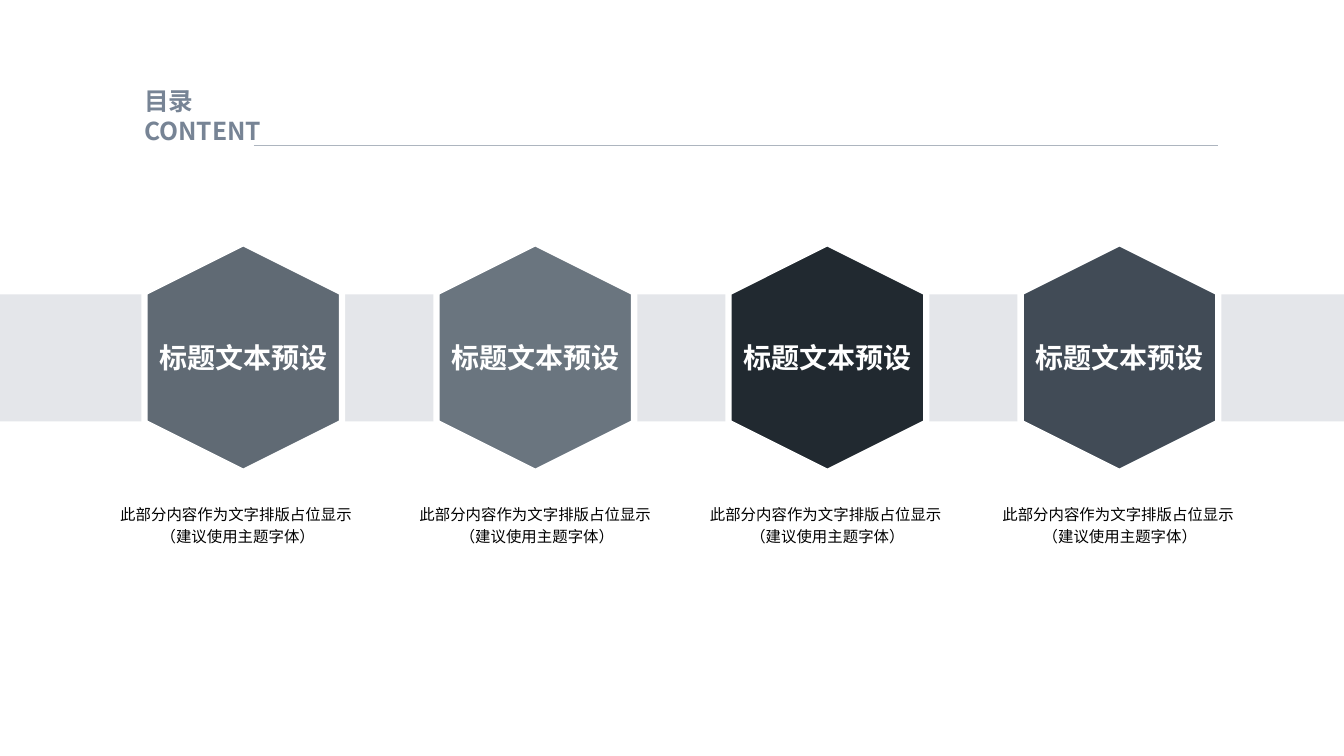
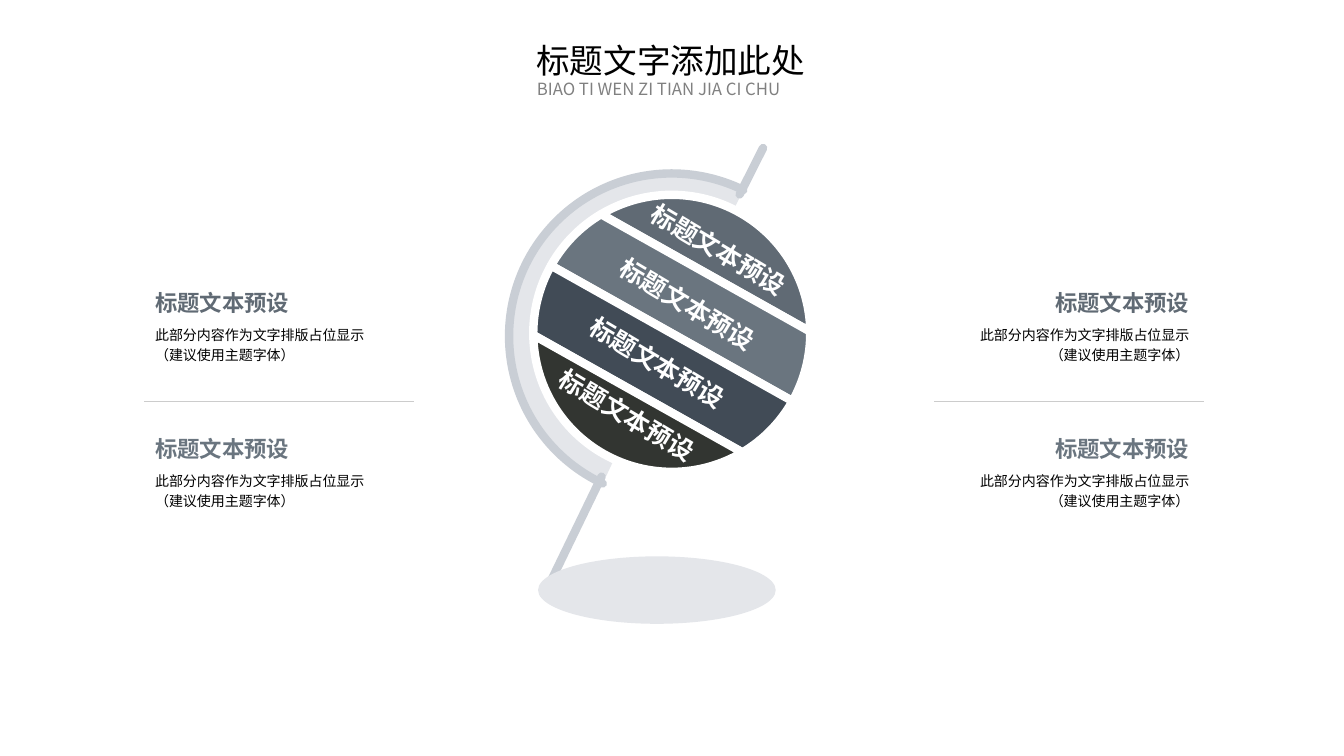
from math import asin, cos, pi, radians, sin, tan

from lxml import etree
from pptx import Presentation
from pptx.dml.color import RGBColor
from pptx.enum.shapes import MSO_CONNECTOR, MSO_SHAPE
from pptx.enum.text import MSO_ANCHOR, MSO_AUTO_SIZE, PP_ALIGN
from pptx.oxml.ns import qn
from pptx.util import Cm, Pt

FONT = "Noto Sans CJK SC"
BLACK = RGBColor(0x00, 0x00, 0x00)
WHITE = RGBColor(0xFF, 0xFF, 0xFF)
GREY = RGBColor(0x80, 0x80, 0x80)
TITLE_BLUE = RGBColor(0x77, 0x84, 0x95)
TITLE_RULE = RGBColor(0xAD, 0xB5, 0xBF)
COLUMN_RULE = RGBColor(0xCC, 0xCC, 0xCC)
PALE = RGBColor(0xE4, 0xE6, 0xEA)
FRAME = RGBColor(0xC9, 0xCE, 0xD5)
SLATE = RGBColor(0x60, 0x6A, 0x74)
STEEL = RGBColor(0x6A, 0x75, 0x7F)
DARK = RGBColor(0x41, 0x4B, 0x56)
NIGHT = RGBColor(0x21, 0x29, 0x30)
CHARCOAL = RGBColor(0x32, 0x35, 0x31)

SLIDE_W, SLIDE_H = 33.87, 19.05
HEADING = "标题文本预设"
CAPTION = ("此部分内容作为文字排版占位显示 ", "（建议使用主题字体）")
BODY = ("此部分内容作为文字排版占位显示", "（建议使用主题字体）")


def box_of(left, top, width, height):
    return Cm(left), Cm(top), Cm(width), Cm(height)


def write(tf, lines, size, color, bold=False, align=PP_ALIGN.LEFT,
          anchor=MSO_ANCHOR.TOP, spacing=None, inset=None, wrap=True):
    """Fill a text frame with one paragraph, with breaks between its lines."""
    tf.auto_size = MSO_AUTO_SIZE.NONE
    tf.word_wrap = wrap
    tf.vertical_anchor = anchor
    if inset is not None:
        tf.margin_left = tf.margin_right = Cm(inset)
        tf.margin_top = tf.margin_bottom = Cm(inset)
    p = tf.paragraphs[0]
    p.alignment = align
    if spacing:
        p.line_spacing = spacing
    for i, line in enumerate(lines):
        if i:
            p.add_line_break()
        r = p.add_run()
        r.text = line
        r.font.size = Pt(size)
        r.font.bold = bold
        r.font.color.rgb = color
        r.font.name = FONT
        etree.SubElement(r.font._element, qn("a:ea"), typeface=FONT)


def add_text(s, box, lines, size, color, **style):
    sp = s.shapes.add_textbox(*box_of(*box))
    write(sp.text_frame, lines, size, color, **style)
    return sp


def add_title(s, box, lines, size, color, **style):
    sp = s.shapes.title
    sp.left, sp.top, sp.width, sp.height = box_of(*box)
    write(sp.text_frame, lines, size, color, **style)


def paint(sp, fill, line=None, width=0):
    sp.shadow.inherit = False
    sp.fill.solid()
    sp.fill.fore_color.rgb = fill
    if line is None:
        sp.line.fill.background()
    else:
        sp.line.color.rgb = line
        sp.line.width = Pt(width)


def add_shape(s, kind, box, fill, line=None, width=0):
    sp = s.shapes.add_shape(kind, *box_of(*box))
    paint(sp, fill, line, width)
    return sp


def round_ends(sp):
    sp.line._get_or_add_ln().set("cap", "rnd")


def add_line(s, x1, y1, x2, y2, color, width=0.5):
    line = s.shapes.add_connector(MSO_CONNECTOR.STRAIGHT,
                                  Cm(x1), Cm(y1), Cm(x2), Cm(y2))
    line.line.color.rgb = color
    line.line.width = Pt(width)
    etree.SubElement(line._element.spPr, qn("a:effectLst"))
    return line


def hexagon_step(s, cx, cy, color):
    width, height = 5.77, 4.98
    sp = add_shape(s, MSO_SHAPE.HEXAGON,
                   (cx - width / 2, cy - height / 2, width, height),
                   color, WHITE, 4.5)
    sp.rotation = 90
    write(sp.text_frame, [HEADING], 20, WHITE, bold=True, wrap=False,
          align=PP_ALIGN.CENTER, anchor=MSO_ANCHOR.MIDDLE)
    sp.text_frame._txBody.bodyPr.set("vert", "vert270")


def contents_slide(prs):
    s = prs.slides.add_slide(prs.slide_layouts[5])
    add_title(s, (3.63, 2.16, 3.1, 1.5), ["目录 ", "CONTENT"], 17.6, TITLE_BLUE,
              bold=True, anchor=MSO_ANCHOR.BOTTOM, inset=0)
    add_line(s, 6.4, 3.66, 30.7, 3.66, TITLE_RULE)
    band_top, band_h = 7.42, 3.2
    add_shape(s, MSO_SHAPE.RECTANGLE, (0, band_top, SLIDE_W, band_h), PALE)
    for i, color in enumerate((SLATE, STEEL, NIGHT, DARK)):
        hexagon_step(s, 6.13 + 7.36 * i, band_top + band_h / 2 - 0.01, color)
    for left in (2.92, 10.46, 17.78, 25.15):
        add_text(s, (left, 12.4, 6.15, 1.6), CAPTION, 11, BLACK, spacing=1.2,
                 align=PP_ALIGN.CENTER, anchor=MSO_ANCHOR.MIDDLE, inset=0)


def arc_points(cx, cy, radius, start, end):
    """Start, two control points and end of the Bézier curve along an arc."""
    pull = 4 / 3 * tan((end - start) / 4)
    unit = ((cos(start), sin(start)),
            (cos(start) - pull * sin(start), sin(start) + pull * cos(start)),
            (cos(end) + pull * sin(end), sin(end) - pull * cos(end)),
            (cos(end), sin(end)))
    return [(Cm(cx + radius * x), Cm(cy + radius * y)) for x, y in unit]


def bend(sp):
    """Turn the first three and the last three segments into curves."""
    segments = list(sp._element.iter(qn("a:lnTo")))
    for group in (segments[:3], segments[-3:]):
        curve = etree.Element(qn("a:cubicBezTo"))
        group[0].addprevious(curve)
        for segment in group:
            curve.append(segment[0])
            segment.getparent().remove(segment)


def sphere(s, cx, cy, radius, colors):
    """A tilted disc cut into slices of equal thickness."""
    tilt = 29.3
    count = len(colors)
    cuts = [asin(2 * i / count - 1) for i in range(count + 1)]
    for i, color in enumerate(colors):
        upper, lower = cuts[i:i + 2]
        middle = radius * (sin(upper) + sin(lower)) / 2
        x = cx - middle * sin(radians(tilt))
        y = cy + middle * (cos(radians(tilt)) - 1)
        right = arc_points(x, y, radius, upper, lower)
        left = arc_points(x, y, radius, pi - lower, pi - upper)
        if i == count - 1:
            left = left[1:]
        builder = s.shapes.build_freeform(*right[0])
        builder.add_line_segments(right[1:] + left, close=True)
        sp = builder.convert_to_shape()
        bend(sp)
        sp.rotation = tilt
        paint(sp, color, WHITE, 6)


def globe(s, left, top, size):
    arc = add_shape(s, MSO_SHAPE.ARC, (left, top, size, size), PALE, FRAME, 6)
    arc.adjustments[0] = 107.4
    arc.adjustments[1] = 0
    arc.rotation = 296.1
    round_ends(arc)
    for x1, y1, x2, y2 in ((1.06, 10.26, 2.33, 7.64), (5.81, 0.53, 6.4, -0.64)):
        round_ends(add_line(s, left + x1, top + y1, left + x2, top + y2, FRAME, 6))
    add_shape(s, MSO_SHAPE.OVAL, (left + 0.73, top + 9.65, 5.99, 1.7), PALE)
    sphere(s, left + size / 2, top + 4.03, 3.49, (SLATE, STEEL, DARK, CHARCOAL))
    for x, y in ((3.12, 1.42), (2.33, 2.79), (1.57, 4.27), (0.81, 5.59)):
        label = add_text(s, (left + x, top + y, 4.37, 1.02), [HEADING], 18, WHITE,
                         bold=True, wrap=False)
        label.rotation = 30.8


def text_column(s, left, top, rule_left, align):
    width = 7.26
    for i, color in enumerate((SLATE, STEEL)):
        y = top + 3.68 * i
        add_text(s, (left, y, width, 0.86), [HEADING], 16, color,
                 bold=True, align=align, inset=0)
        add_text(s, (left, y + 0.86, width, 1.42), BODY, 10, BLACK,
                 align=align, spacing=1.2, inset=0)
    add_line(s, rule_left, top + 2.82, rule_left + 6.8, top + 2.82, COLUMN_RULE)


def globe_slide(prs):
    s = prs.slides.add_slide(prs.slide_layouts[5])
    add_title(s, (13.26, 0.89, 7.34, 1.27), ["标题文字添加此处"], 24, BLACK,
              wrap=False)
    add_text(s, (13.28, 1.85, 7.19, 0.76), ["BIAO TI WEN ZI TIAN JIA CI CHU"],
             12, GREY, align=PP_ALIGN.JUSTIFY)
    globe(s, 12.83, 4.37, 8.2)
    text_column(s, 3.91, 7.29, 3.63, PP_ALIGN.LEFT)
    text_column(s, 22.71, 7.29, 23.54, PP_ALIGN.RIGHT)


def main():
    prs = Presentation()
    prs.slide_width, prs.slide_height = Cm(SLIDE_W), Cm(SLIDE_H)
    contents_slide(prs)
    globe_slide(prs)
    prs.save("out.pptx")


if __name__ == "__main__":
    main()
